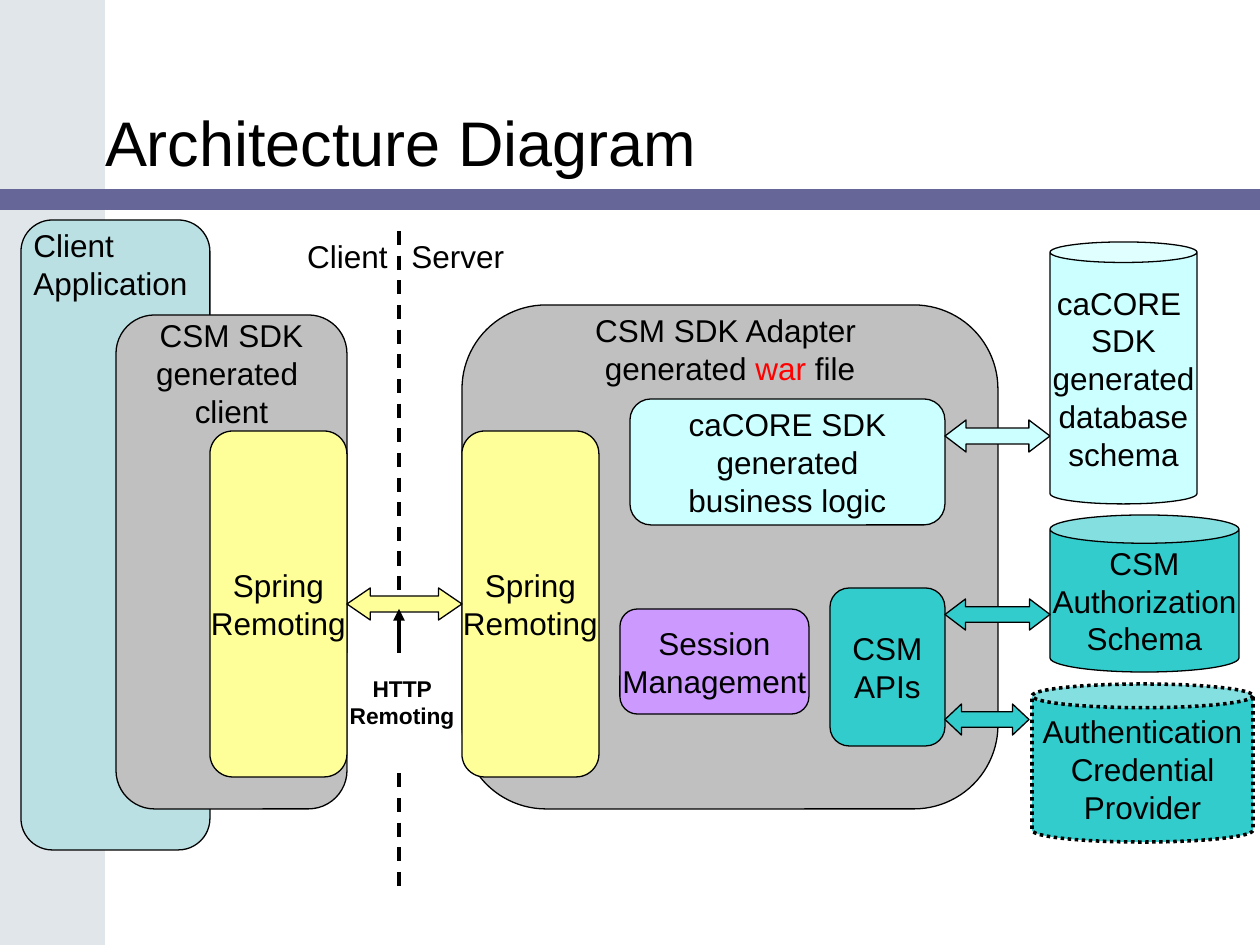
from lxml import etree
from pptx import Presentation
from pptx.dml.color import RGBColor
from pptx.enum.dml import MSO_LINE_DASH_STYLE as DASH
from pptx.enum.shapes import MSO_CONNECTOR, MSO_SHAPE as SHAPE
from pptx.enum.text import MSO_ANCHOR as ANCHOR, PP_ALIGN as ALIGN
from pptx.oxml.ns import qn
from pptx.util import Pt

PX = 914400 / 126
GREY, CYAN, TEAL, YELLOW = "C0C0C0", "CCFFFF", "33CCCC", "FFFF99"
ROUND, CAN, ARROW = SHAPE.ROUNDED_RECTANGLE, SHAPE.CAN, SHAPE.LEFT_RIGHT_ARROW


def color(hex_value):
    return RGBColor.from_string(hex_value)


def write(frame, text, size=18, align=ALIGN.CENTER, bold=False):
    frame.text = text
    for paragraph in frame.paragraphs:
        paragraph.alignment = align
        paragraph.line_spacing = Pt(size * 1.2)
        for run in paragraph.runs:
            run.font.name = "Arial"
            run.font.size = Pt(size)
            run.font.bold = bold
            run.font.color.rgb = color("000000")


prs = Presentation()
prs.slide_width, prs.slide_height = round(1260 * PX), round(945 * PX)
slide = prs.slides.add_slide(prs.slide_layouts[6])
shapes = slide.shapes

for bounds, fill in [((0, 0, 105, 945), "E1E6EB"), ((0, 189, 1260, 21), "666699")]:
    band = shapes.add_shape(SHAPE.RECTANGLE, *[round(v * PX) for v in bounds])
    band.shadow.inherit = False
    band.fill.solid()
    band.fill.fore_color.rgb = color(fill)
    band.line.fill.background()

boundary = shapes.add_connector(
    MSO_CONNECTOR.STRAIGHT, *[round(v * PX) for v in (399, 231, 399, 892)])
boundary.line.width = Pt(2)
boundary.line.dash_style = DASH.DASH

components = [
    (ROUND, (21, 220, 189, 630), "BBE0E3", None, ""),
    (ROUND, (462, 305, 536, 504), GREY, None, ""),
    (ROUND, (630, 399, 315, 126), CYAN, None, "caCORE SDK\ngenerated\nbusiness logic"),
    (ARROW, (945, 420, 105, 32), CYAN, 0.66, ""),
    (ROUND, (830, 588, 115, 158), TEAL, None, "CSM\nAPIs"),
    (ROUND, (462, 431, 137, 346), YELLOW, None, "Spring\nRemoting"),
    (CAN, (1050, 242, 147, 262), CYAN, 0.14, "caCORE \nSDK\ngenerated\ndatabase\nschema"),
    (CAN, (1050, 515, 189, 157), TEAL, 0.18, "CSM\nAuthorization\nSchema"),
    (ARROW, (945, 599, 105, 31), TEAL, 0.66, ""),
    (CAN, (1032, 684, 221, 158), TEAL, 0.15, "Authentication\nCredential\nProvider"),
    (ARROW, (945, 704, 84, 31), TEAL, 0.53, ""),
    (ROUND, (620, 609, 189, 105), "CC99FF", None, "Session\nManagement"),
    (ROUND, (116, 315, 231, 494), GREY, None, ""),
    (ROUND, (210, 431, 137, 346), YELLOW, None, "Spring\nRemoting"),
    (ARROW, (347, 588, 115, 32), YELLOW, 0.73, ""),
]
for kind, bounds, fill, adjustment, text in components:
    component = shapes.add_shape(kind, *[round(v * PX) for v in bounds])
    component.shadow.inherit = False
    component.fill.solid()
    component.fill.fore_color.rgb = color(fill)
    component.line.color.rgb = color("000000")
    component.line.width = Pt(0.75)
    if adjustment:
        component.adjustments[len(component.adjustments) - 1] = adjustment
    if text:
        component.text_frame.word_wrap = False
        component.text_frame.vertical_anchor = ANCHOR.MIDDLE
        write(component.text_frame, text)
    if text.startswith("Authentication"):
        component.line.width = Pt(2)
        component.line.dash_style = DASH.ROUND_DOT

protocol = shapes.add_shape(
    SHAPE.RECTANGLE, *[round(v * PX) for v in (348, 653, 108, 117)])
protocol.shadow.inherit = False
protocol.fill.solid()
protocol.fill.fore_color.rgb = color("FFFFFF")
protocol.line.fill.background()
frame = protocol.text_frame
frame.word_wrap = True
frame.vertical_anchor = ANCHOR.TOP
frame.margin_left = frame.margin_right = frame.margin_bottom = 0
frame.margin_top = round(22 * PX)
write(frame, "HTTP Remoting", 13, bold=True)

labels = [
    ((21, 220, 190, 88), "Client\nApplication", ALIGN.LEFT),
    ((399, 231, 130, 50), "Server", ALIGN.LEFT),
    ((280, 231, 120, 50), "Client", ALIGN.RIGHT),
    ((116, 310, 231, 126), "CSM SDK\ngenerated \nclient", ALIGN.CENTER),
    ((462, 305, 536, 88), "CSM SDK Adapter \ngenerated ", ALIGN.CENTER),
]
for bounds, text, align in labels:
    label = shapes.add_textbox(*[round(v * PX) for v in bounds])
    label.text_frame.word_wrap = True
    write(label.text_frame, text, align=align)

for text, ink in [("war", "FF0000"), (" file", "000000")]:
    run = label.text_frame.paragraphs[1].add_run()
    run.text = text
    run.font.name = "Arial"
    run.font.size = Pt(18)
    run.font.color.rgb = color(ink)

title = shapes.add_textbox(*[round(v * PX) for v in (105, 21, 966, 158)])
frame = title.text_frame
frame.word_wrap = True
frame.vertical_anchor = ANCHOR.BOTTOM
frame.margin_left = frame.margin_right = frame.margin_top = frame.margin_bottom = 0
write(frame, "Architecture Diagram", 36, ALIGN.LEFT)

pointer = shapes.add_connector(
    MSO_CONNECTOR.STRAIGHT, *[round(v * PX) for v in (399, 652, 399, 609)])
pointer.line.width = Pt(2.25)
for connector in (boundary, pointer):
    connector.line.color.rgb = color("000000")
    etree.SubElement(connector._element.spPr, qn("a:effectLst"))
etree.SubElement(pointer.line._get_or_add_ln(), qn("a:tailEnd"), type="triangle")

prs.save("out.pptx")
